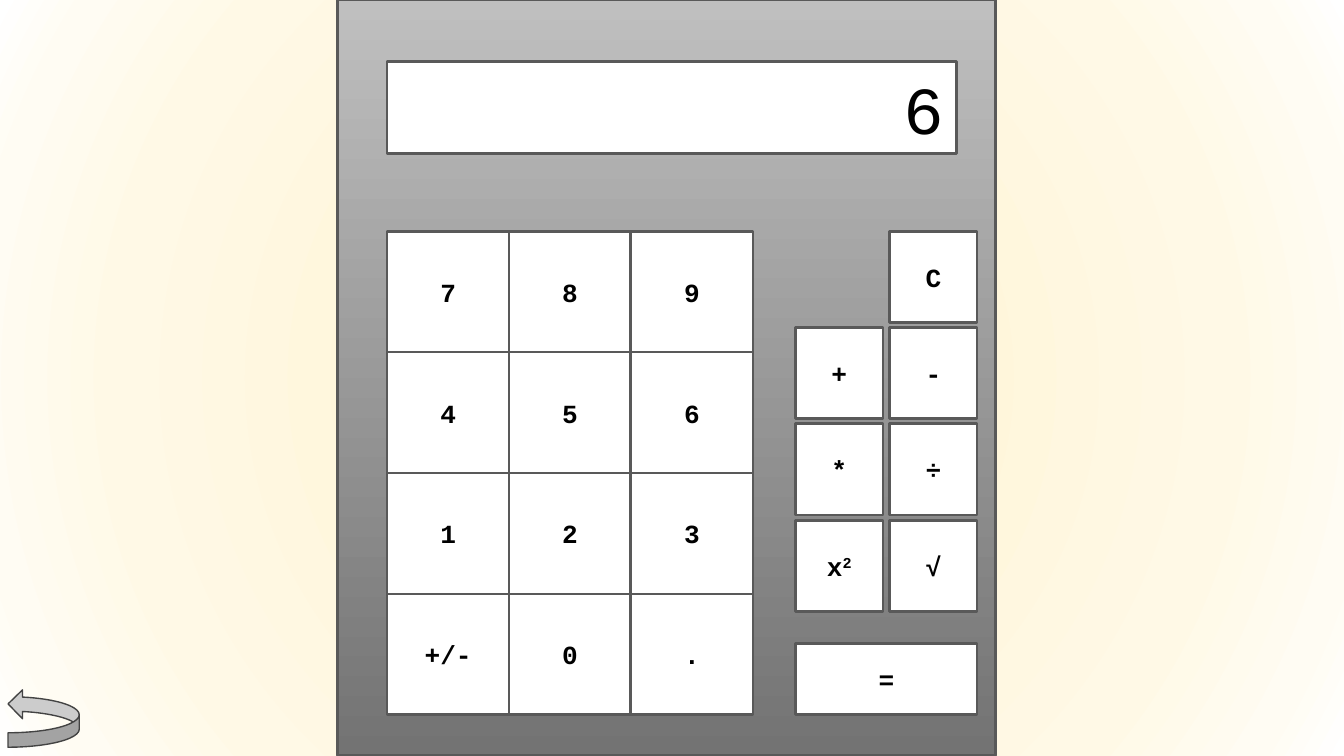
"""Build a slide showing a pocket calculator with a back arrow."""

from dataclasses import dataclass

import pptx
import pptx.dml.color
import pptx.enum.shapes
import pptx.enum.text
import pptx.oxml
import pptx.oxml.ns
import pptx.util

SHAPES = pptx.enum.shapes.MSO_SHAPE
ALIGN = pptx.enum.text.PP_ALIGN
WIDTH = 10
HEIGHT = WIDTH * 9 / 16
FONT = "Courier New"
BORDER = "595959"
RADIAL = (
    '<a:path path="circle">'
    '<a:fillToRect l="50000" t="50000" r="50000" b="50000"/></a:path>'
)
LINEAR = '<a:lin ang="5400000" scaled="0"/>'


@dataclass(frozen=True)
class Box:
    """A rectangle in inches."""

    left: float
    top: float
    width: float
    height: float


@dataclass(frozen=True)
class Keypad:
    """Rows of equal keys; an empty label leaves its cell free."""

    origin: tuple[float, float]
    key: tuple[float, float]
    pitch: tuple[float, float]
    rows: tuple[tuple[str, ...], ...]

    def cell(self, row: int, col: int) -> Box:
        """Return the rectangle of one key."""
        left = self.origin[0] + col * self.pitch[0]
        top = self.origin[1] + row * self.pitch[1]
        return Box(left, top, *self.key)


BODY = Box(2.51, 0, 4.9, HEIGHT)
DISPLAY = Box(2.88, 0.46, 4.24, 0.68)
EQUALS = Box(5.92, 4.79, 1.35, 0.53)
BACK_ARROW = Box(0.06, 5.13, 0.53, 0.43)
KEYPADS = (
    Keypad(
        (2.88, 1.72), (0.91, 0.9), (2.72 / 3, 0.9),
        (("7", "8", "9"), ("4", "5", "6"), ("1", "2", "3"), ("+/-", "0", ".")),
    ),
    Keypad(
        (5.92, 1.72), (0.65, 0.68), (0.7, 2.15 / 3),
        (("", "C"), ("+", "-"), ("*", "÷"), ("x^2", "√")),
    ),
)


def rgb(color: str) -> pptx.dml.color.RGBColor:
    """Turn a hex string into a colour."""
    return pptx.dml.color.RGBColor.from_string(color)


def set_gradient(fill, element, stops: dict[int, str], shading: str) -> None:
    """Give a fill the stops (percent to colour) and the shading element."""
    fill.gradient()
    marks = "".join(
        f'<a:gs pos="{pos * 1000}"><a:srgbClr val="{color}"/></a:gs>'
        for pos, color in stops.items()
    )
    grad = pptx.oxml.parse_xml(
        f'<a:gradFill {pptx.oxml.ns.nsdecls("a")} rotWithShape="1">'
        f"<a:gsLst>{marks}</a:gsLst>{shading}</a:gradFill>"
    )
    old = next(element.iter(pptx.oxml.ns.qn("a:gradFill")))
    old.getparent().replace(old, grad)


def add_shape(slide, kind, box: Box, fill: str, line: str = BORDER, weight: float = 1.5):
    """Add a flat, outlined shape."""
    edges = (box.left, box.top, box.width, box.height)
    sp = slide.shapes.add_shape(kind, *map(pptx.util.Inches, edges))
    sp.shadow.inherit = False
    sp.fill.solid()
    sp.fill.fore_color.rgb = rgb(fill)
    sp.line.color.rgb = rgb(line)
    sp.line.width = pptx.util.Pt(weight)
    return sp


def add_key(slide, box: Box, label: str, size: int = 14, bold: bool = True,
            align=ALIGN.CENTER) -> None:
    """Add a labelled white box; text after a caret is superscript."""
    sp = add_shape(slide, SHAPES.RECTANGLE, box, "FFFFFF")
    tf = sp.text_frame
    tf.word_wrap = True
    tf.vertical_anchor = pptx.enum.text.MSO_ANCHOR.MIDDLE
    tf.margin_left = tf.margin_right = pptx.util.Inches(0.1)
    tf.margin_top = tf.margin_bottom = pptx.util.Inches(0.1)
    p = tf.paragraphs[0]
    p.alignment = align
    p.font.name, p.font.size, p.font.bold = FONT, pptx.util.Pt(size), bold
    p.font.color.rgb = rgb("000000")
    base, _, power = label.partition("^")
    p.add_run().text = base
    if power:
        r = p.add_run()
        r.text = power
        r.font._element.set("baseline", "30000")


def add_back_arrow(slide) -> None:
    """Add the curved arrow that points back to the left."""
    sp = add_shape(slide, SHAPES.CURVED_LEFT_ARROW, BACK_ARROW, "CCCCCC", "434343", 0.75)
    for i, value in enumerate((0.25, 0.5, 0.25)):
        sp.adjustments[i] = value
    sp.rotation = 180
    sp.element.spPr.find(pptx.oxml.ns.qn("a:xfrm")).set("flipH", "1")


def main() -> None:
    """Draw the slide and save it."""
    prs = pptx.Presentation()
    prs.slide_width = pptx.util.Inches(WIDTH)
    prs.slide_height = pptx.util.Inches(HEIGHT)
    slide = prs.slides.add_slide(prs.slide_layouts.get_by_name("Blank"))
    backdrop = {0: "FFF2CC", 72: "FFF9E6", 90: "FFFCF3", 100: "FFFFFF"}
    set_gradient(slide.background.fill, slide.element, backdrop, RADIAL)

    body = add_shape(slide, SHAPES.RECTANGLE, BODY, "BFBFBF")
    set_gradient(body.fill, body.element, {0: "BFBFBF", 100: "737373"}, LINEAR)
    add_key(slide, DISPLAY, "6", 36, False, ALIGN.RIGHT)
    for pad in KEYPADS:
        for row, labels in enumerate(pad.rows):
            for col, label in enumerate(labels):
                if label:
                    add_key(slide, pad.cell(row, col), label)
    add_key(slide, EQUALS, "=")
    add_back_arrow(slide)
    prs.save("out.pptx")


if __name__ == "__main__":
    main()
